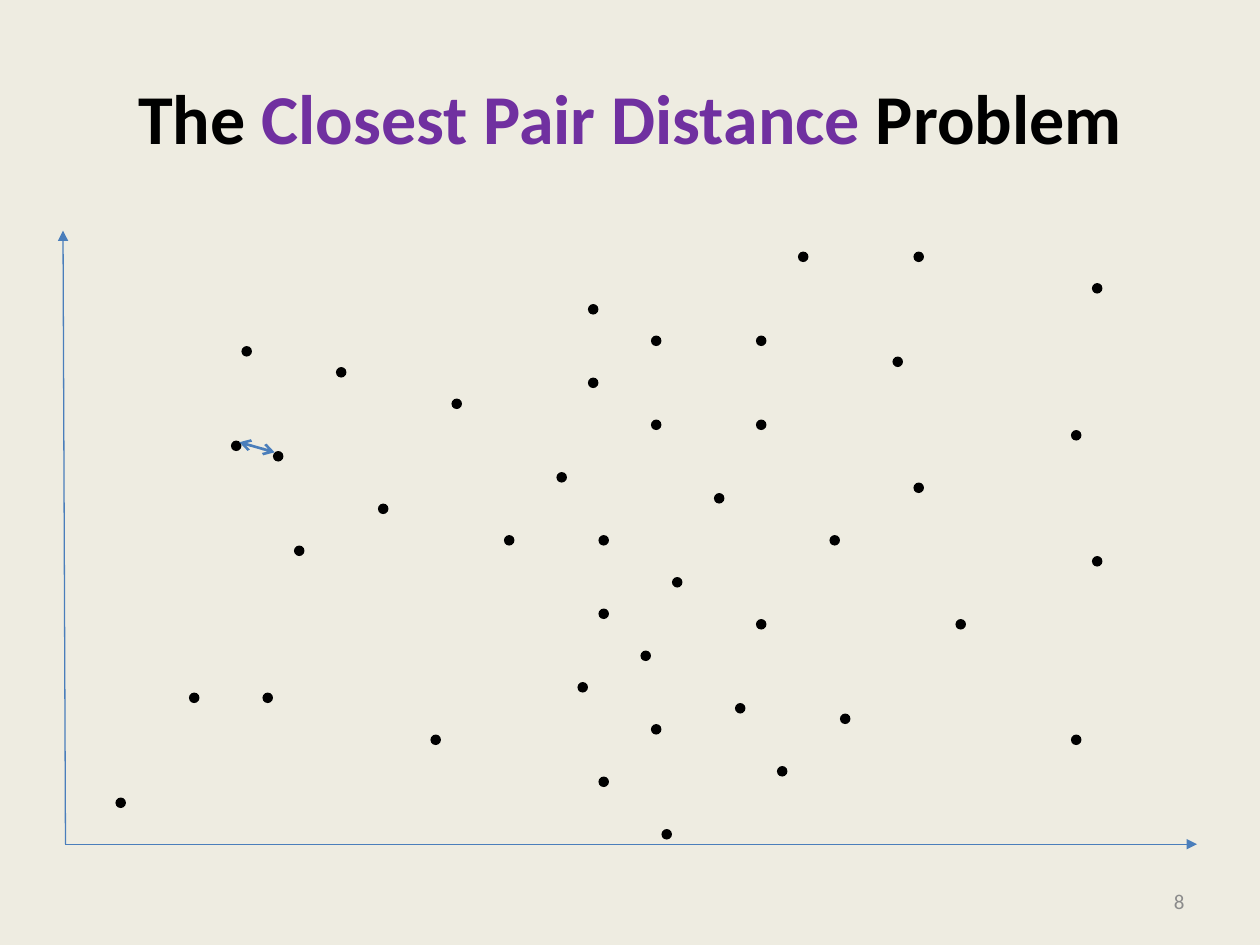
from lxml import etree
from pptx import Presentation
from pptx.dml.color import RGBColor
from pptx.enum import shapes, text
from pptx.oxml.ns import qn
from pptx.util import Inches, Pt

FONT = "Calibri"
BLACK, PURPLE, GREY, BLUE, CREAM = "000000", "7030A0", "8B8B8B", "4A7EBB", "EEECE1"

STEP = 1 / 12  # grid pitch and dot diameter, in inches
# Column and row of each dot, counted from the top left of the plot
POINTS = [
    (37, 16), (42, 29), (81, 24), (55, 40), (49, 43), (73, 29), (74, 46),
    (66, 10), (35, 48), (30, 26), (85, 37), (79, 12), (64, 45), (26, 13),
    (20, 21), (22, 30), (16, 20), (19, 44), (17, 11), (50, 7), (66, 18),
    (66, 37), (68, 51), (70, 2), (81, 2), (96, 19), (98, 31), (98, 5),
    (96, 48), (12, 44), (5, 54), (51, 29), (51, 52), (57, 57), (56, 47),
    (51, 36), (58, 33), (56, 18), (56, 10), (50, 14), (47, 23), (62, 25),
]


def color(value):
    return RGBColor.from_string(value)


def add_text(page, box, spans, size, align, bold=False):
    """Place one paragraph made of (wording, colour) spans."""
    frame = page.shapes.add_textbox(*map(Inches, box)).text_frame
    frame.word_wrap = True
    frame.vertical_anchor = text.MSO_ANCHOR.MIDDLE
    para = frame.paragraphs[0]
    para.alignment = align
    for wording, shade in spans:
        span = para.add_run()
        span.text = wording
        span.font.name = FONT
        span.font.size = Pt(size)
        span.font.bold = bold
        span.font.color.rgb = color(shade)


def add_arrow(page, start, end, width, **heads):
    """Draw a line; heads maps headEnd or tailEnd to an arrowhead type."""
    arrow = page.shapes.add_connector(
        shapes.MSO_CONNECTOR.STRAIGHT, *map(Inches, (*start, *end)))
    arrow.line.color.rgb = color(BLUE)
    arrow.line.width = Pt(width)
    line = arrow.line._get_or_add_ln()
    for end_name, kind in heads.items():
        etree.SubElement(line, qn("a:" + end_name), type=kind)
    etree.SubElement(arrow._element.spPr, qn("a:effectLst"))


def add_dot(page, x, y):
    dot = page.shapes.add_shape(
        shapes.MSO_SHAPE.OVAL, *map(Inches, (x, y, STEP, STEP)))
    dot.shadow.inherit = False
    dot.fill.solid()
    dot.fill.fore_color.rgb = color(BLACK)
    dot.line.fill.background()


def add_plot(page, box):
    left, top, width, height = box
    origin = (left + 0.02, top + height)
    for column, row in POINTS:
        add_dot(page, left + column * STEP, top + row * STEP)
    add_arrow(page, (left + 1.68, top + 1.76), (left + 1.4, top + 1.68), 1.5,
              headEnd="arrow", tailEnd="arrow")
    for tip in ((left + width, top + height), (left, top)):
        add_arrow(page, origin, tip, 0.75, tailEnd="triangle")


def main():
    deck = Presentation()
    deck.slide_width, deck.slide_height = Inches(10), Inches(7.5)
    page = deck.slides.add_slide(deck.slide_layouts[6])
    page.background.fill.solid()
    page.background.fill.fore_color.rgb = color(CREAM)

    title = [("The ", BLACK), ("Closest Pair Distance ", PURPLE), ("Problem", BLACK)]
    add_text(page, (0.5, 0.3, 9, 1.25), title, 40, text.PP_ALIGN.CENTER, bold=True)
    add_text(page, (7.17, 6.95, 2.33, 0.4), [("8", GREY)], 12, text.PP_ALIGN.RIGHT)
    add_plot(page, (0.5, 1.83, 9, 4.87))
    deck.save("out.pptx")


if __name__ == "__main__":
    main()
